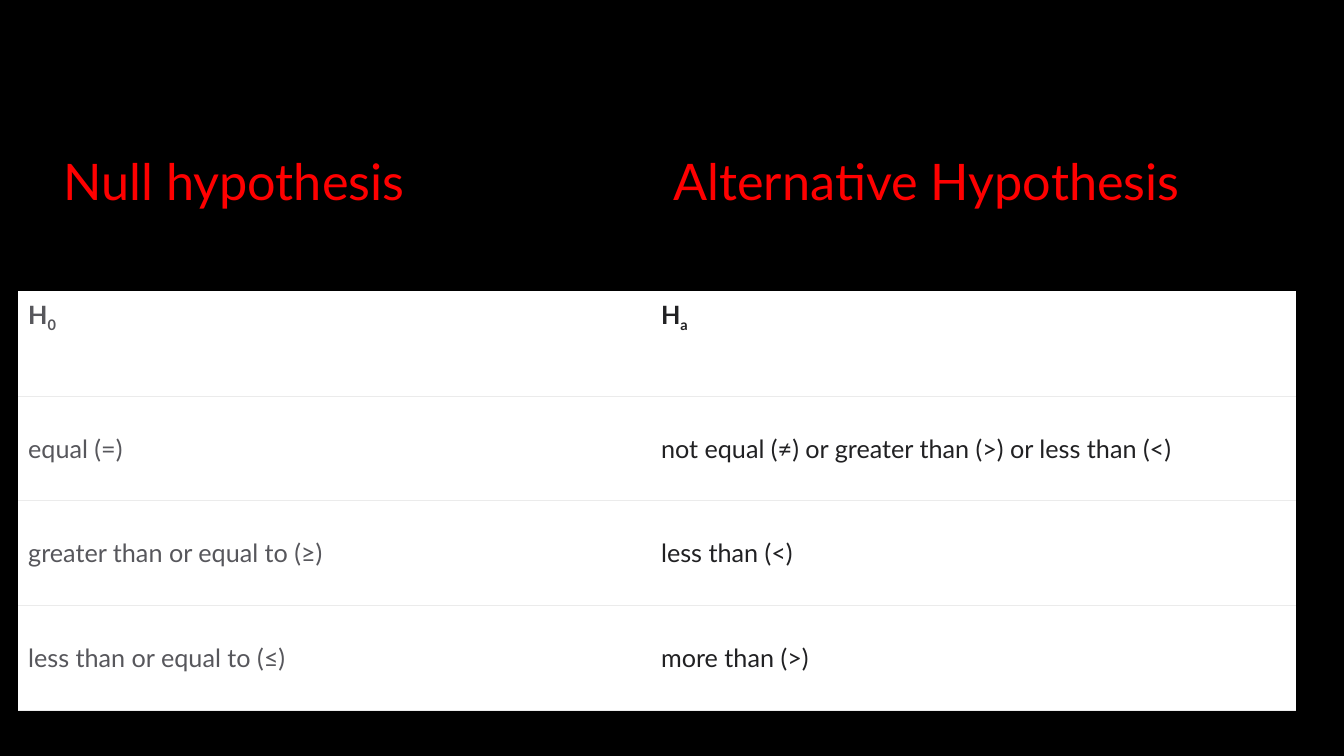
"""Build a slide comparing null and alternative hypotheses."""
from lxml import etree
from pptx import Presentation
from pptx.dml.color import RGBColor
from pptx.enum.text import MSO_ANCHOR
from pptx.oxml.ns import qn
from pptx.util import Cm, Pt

TOP, MIDDLE, BOTTOM = MSO_ANCHOR.TOP, MSO_ANCHOR.MIDDLE, MSO_ANCHOR.BOTTOM
BLANK_LAYOUT = 6
BLACK, WHITE, RED = "000000", "FFFFFF", "FF0000"
GREY, DARK, RULE = "57575C", "212123", "EBEBEB"

HYPOTHESES = [
    (("H", "0"), ("H", "a")),
    (("equal (=)",), ("not equal (≠) or greater than (>) or less than (<)",)),
    (("greater than or equal to (≥)",), ("less than (<)",)),
    (("less than or equal to (≤)",), ("more than (>)",)),
]


def color(value):
    return RGBColor.from_string(value)


def add_text(paragraph, text, *, size, ink, bold=False, subscript=False):
    run = paragraph.add_run()
    run.text = text
    run.font.name = "Lato"
    run.font.size = Pt(size)
    run.font.bold = bold
    run.font.color.rgb = color(ink)
    if subscript:
        run.font._element.set("baseline", "-25000")


class HypothesisSlide:
    def __init__(self, slide):
        self.slide = slide
        self.heading_size, self.body_size = 36, 18
        self.column_inks = (GREY, DARK)
        slide.background.fill.solid()
        slide.background.fill.fore_color.rgb = color(BLACK)

    def heading(self, text, left, top, width, height, tab):
        frame = self.slide.shapes.add_textbox(left, top, width, height).text_frame
        frame.word_wrap = True
        frame.vertical_anchor = BOTTOM
        paragraph = frame.paragraphs[0]
        tabs = etree.SubElement(paragraph._p.get_or_add_pPr(), qn("a:tabLst"))
        etree.SubElement(tabs, qn("a:tab"), pos=str(int(tab)), algn="l")
        add_text(paragraph, text, size=self.heading_size, ink=RED)

    def borders(self, cell, is_first):
        properties = cell._tc.get_or_add_tcPr()
        for side in ("lnL", "lnR", "lnT", "lnB"):
            line = etree.SubElement(properties, qn(f"a:{side}"), w=str(int(Pt(0.75))))
            if side == "lnB" or (side == "lnT" and not is_first):
                fill = etree.SubElement(line, qn("a:solidFill"))
                etree.SubElement(fill, qn("a:srgbClr"), val=RULE)
            else:
                etree.SubElement(line, qn("a:noFill"))

    def cell(self, cell, parts, ink, is_first):
        self.borders(cell, is_first)
        cell.fill.solid()
        cell.fill.fore_color.rgb = color(WHITE)
        cell.margin_left = cell.margin_right = Cm(0.25)
        cell.margin_top = cell.margin_bottom = Cm(0.2)
        cell.vertical_anchor = TOP if is_first else MIDDLE
        for position, part in enumerate(parts):
            add_text(cell.text_frame.paragraphs[0], part, size=self.body_size,
                     ink=ink, bold=is_first, subscript=position > 0)

    def table(self, rows, left, top, column_widths, row_height):
        table = self.slide.shapes.add_table(
            len(rows), len(column_widths), left, top,
            sum(column_widths), row_height * len(rows)).table
        table.first_row = table.horz_banding = False
        for column, width in zip(table.columns, column_widths):
            column.width = width
        for index, row in enumerate(rows):
            table.rows[index].height = row_height
            for column, (parts, ink) in enumerate(zip(row, self.column_inks)):
                self.cell(table.cell(index, column), parts, ink, index == 0)


def main():
    deck = Presentation()
    deck.slide_width, deck.slide_height = Cm(33.87), Cm(19.05)
    page = HypothesisSlide(deck.slides.add_slide(deck.slide_layouts[BLANK_LAYOUT]))
    page.heading("Null hypothesis\tAlternative Hypothesis",
                 Cm(1.35), Cm(1.83), Cm(31.09), Cm(3.6), tab=Cm(15.37))
    page.table(HYPOTHESES, Cm(0.46), Cm(7.34), (Cm(15.95), Cm(16.26)), Cm(2.64))
    deck.save("out.pptx")


if __name__ == "__main__":
    main()
